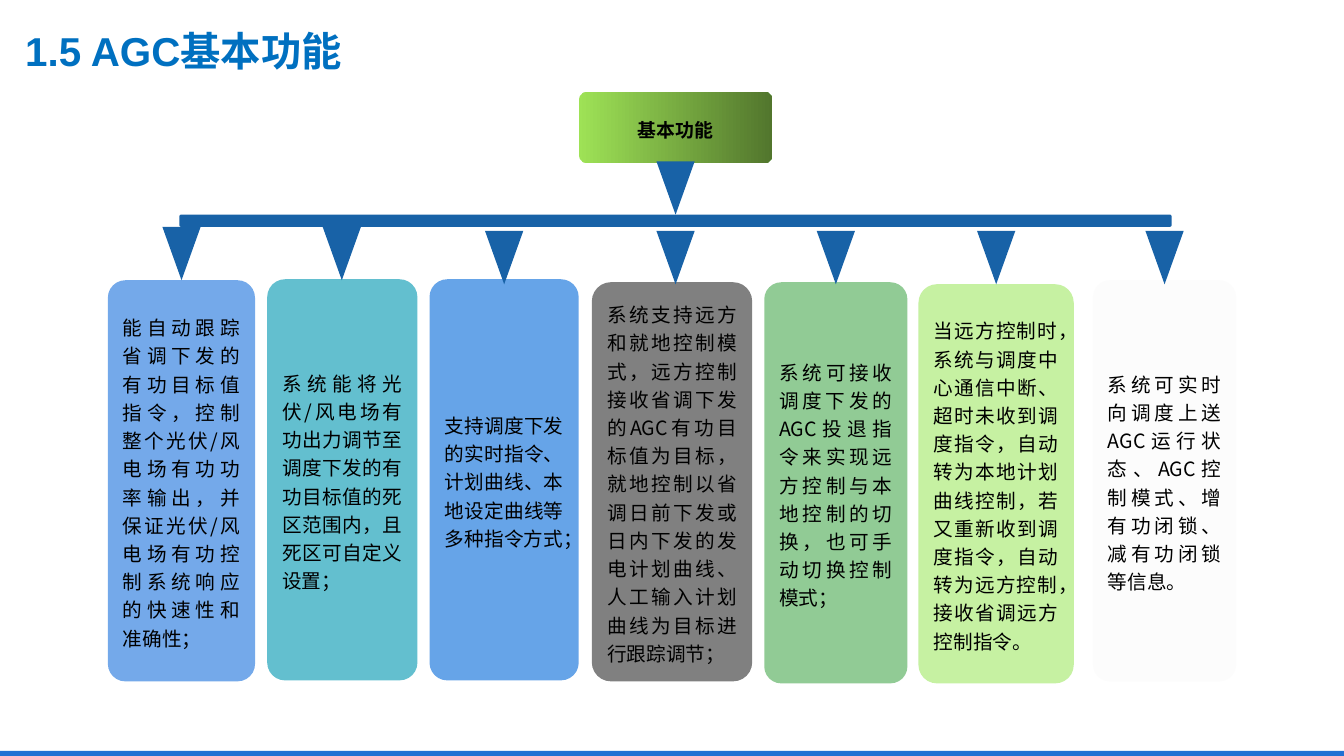
from lxml.etree import SubElement
from pptx import Presentation
from pptx.dml.color import RGBColor
from pptx.enum.shapes import MSO_SHAPE
from pptx.enum.text import MSO_ANCHOR, PP_ALIGN
from pptx.oxml.ns import qn
from pptx.util import Inches, Pt

TITLE = "1.5 AGC基本功能"
ROOT = "基本功能"
CJK = "Noto Sans CJK SC"
BLUE = "1862A7"
ARROW_W, ARROW_H = 0.38, 0.53
CORNER = 0.119

# left, top, width, height, arrow left, arrow top, fill, text
CARDS = [
    (1.07, 2.78, 1.46, 3.98, 1.61, 2.25, "74A9EA",
     "能自动跟踪省调下发的有功目标值指令，控制整个光伏/风电场有功功率输出，"
     "并保证光伏/风电场有功控制系统响应的快速性和准确性；"),
    (2.65, 2.77, 1.49, 3.98, 3.2, 2.25, "63BFCF",
     "系统能将光伏/风电场有功出力调节至调度下发的有功目标值的死区范围内，"
     "且死区可自定义设置；"),
    (4.26, 2.77, 1.48, 3.98, 4.81, 2.29, "66A4E8",
     "支持调度下发的实时指令、计划曲线、本地设定曲线等多种指令方式；"),
    (5.87, 2.8, 1.59, 3.96, 6.51, 2.29, "808080",
     "系统支持远方和就地控制模式，远方控制接收省调下发的AGC有功目标值为目标，"
     "就地控制以省调日前下发或日内下发的发电计划曲线、人工输入计划曲线为目标进行跟踪调节；"),
    (7.58, 2.8, 1.42, 3.98, 8.1, 2.29, "91CB95",
     "系统可接收调度下发的AGC投退指令来实现远方控制与本地控制的切换，"
     "也可手动切换控制模式；"),
    (9.11, 2.82, 1.54, 3.96, 9.69, 2.29, "C6F1A2",
     "当远方控制时，系统与调度中心通信中断、超时未收到调度指令，自动转为本地计划曲线控制，"
     "若又重新收到调度指令，自动转为远方控制，接收省调远方控制指令。"),
    (10.84, 2.78, 1.42, 3.98, 11.36, 2.29, "FCFCFC",
     "系统可实时向调度上送AGC运行状态、AGC控制模式、增有功闭锁、减有功闭锁等信息。"),
]

prs = Presentation()
prs.slide_width, prs.slide_height = Inches(13.33), Inches(7.5)
s = prs.slides.add_slide(prs.slide_layouts[6])


def rgb(value):
    return RGBColor.from_string(value)


def add_box(kind, left, top, width, height, fill):
    sp = s.shapes.add_shape(kind, *map(Inches, (left, top, width, height)))
    sp.shadow.inherit = False
    sp.line.fill.background()
    sp.fill.solid()
    sp.fill.fore_color.rgb = rgb(fill)
    if kind == MSO_SHAPE.ROUNDED_RECTANGLE:
        sp.adjustments[0] = CORNER
    return sp


def add_arrow(left, top):
    sp = add_box(MSO_SHAPE.ISOSCELES_TRIANGLE, left, top, ARROW_W, ARROW_H, BLUE)
    sp.rotation = 180


def write(sp, text, size, color, font, bold=False, align=None, spacing=None):
    tf = sp.text_frame
    tf.word_wrap = True
    tf.vertical_anchor = MSO_ANCHOR.MIDDLE
    tf.text = text
    p = tf.paragraphs[0]
    p.alignment, p.line_spacing = align, spacing
    r = p.runs[0]
    r.font.size, r.font.bold, r.font.name = Pt(size), bold, font
    r.font.color.rgb = rgb(color)
    SubElement(r.font._element, qn("a:ea")).set("typeface", CJK)


add_box(MSO_SHAPE.RECTANGLE, 0, 7.45, 13.33, 0.05, "2071D3")

root = add_box(MSO_SHAPE.ROUNDED_RECTANGLE, 5.74, 0.91, 1.92, 0.71, "9EE256")
root.fill.gradient()
root.fill.gradient_angle = 0
for stop, color, position in zip(root.fill.gradient_stops, ("9EE256", "52762D"), (0, 1)):
    stop.color.rgb = rgb(color)
    stop.position = position
write(root, ROOT, 13.5, "000000", CJK, True, PP_ALIGN.CENTER, 1.2)

add_box(MSO_SHAPE.ROUNDED_RECTANGLE, 1.78, 2.13, 9.84, 0.12, BLUE)

for left, top, width, height, arrow_left, arrow_top, fill, text in CARDS:
    card = add_box(MSO_SHAPE.ROUNDED_RECTANGLE, left, top, width, height, fill)
    write(card, text, 14, "000000", CJK, align=PP_ALIGN.JUSTIFY, spacing=1.2)
    add_arrow(arrow_left, arrow_top)
add_arrow(6.51, 1.6)

title = s.shapes.add_textbox(Inches(0.25), Inches(0.24), Inches(11.63), Inches(0.52))
tf = title.text_frame
tf.margin_left = tf.margin_top = tf.margin_right = tf.margin_bottom = 0
write(title, TITLE, 28.8, "0070C0", "Arial", True)

prs.save("out.pptx")
